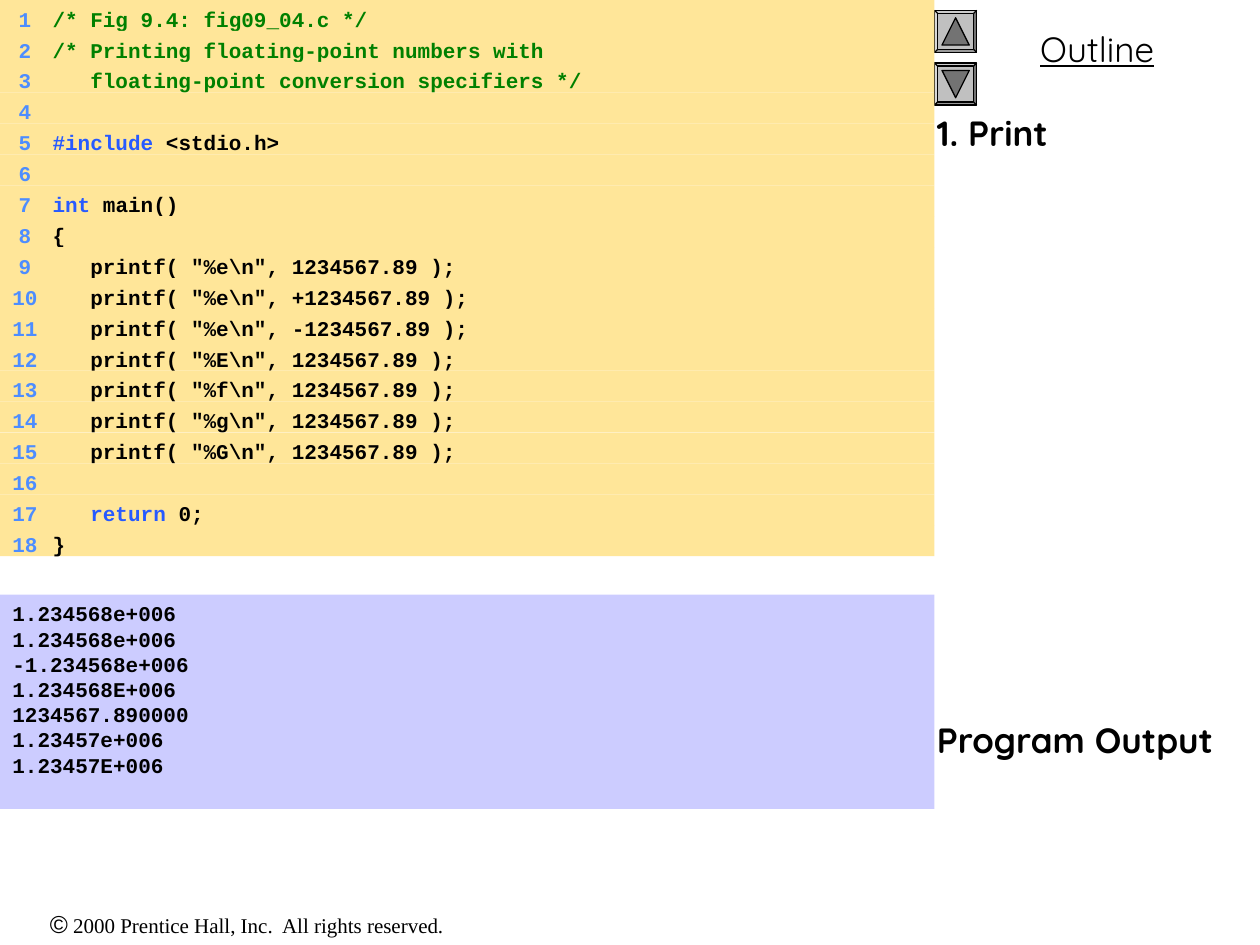
from pptx import Presentation
from pptx.dml.color import RGBColor as RGB
from pptx.enum.shapes import MSO_SHAPE as Kind
from pptx.enum.text import MSO_ANCHOR as Anchor, MSO_AUTO_SIZE as Fit, PP_ALIGN as Align
from pptx.oxml.ns import qn
from pptx.util import Cm, Pt
from lxml.etree import SubElement

BLACK = RGB(0, 0, 0)
SAND = RGB(0xFF, 0xE6, 0x99)
LILAC = RGB(0xCC, 0xCC, 0xFF)
GREY = RGB(0xC0, 0xC0, 0xC0)
DARK = RGB(0x73, 0x73, 0x73)
NUMBER = RGB(0x4D, 0x8D, 0xFF)
GREEN = RGB(0, 0x80, 0)
BLUE = RGB(0x27, 0x5A, 0xFF)

SPLIT = Cm(18.84)
CODE = [
    [("/* Fig 9.4: fig09_04.c */", GREEN)],
    [("/* Printing floating-point numbers with", GREEN)],
    [("   floating-point conversion specifiers */", GREEN)],
    [],
    [("#include", BLUE), (" <stdio.h>", BLACK)],
    [],
    [("int", BLUE), (" main()", BLACK)],
    [("{", BLACK)],
    [('   printf( "%e\\n", 1234567.89 );', BLACK)],
    [('   printf( "%e\\n", +1234567.89 );', BLACK)],
    [('   printf( "%e\\n", -1234567.89 );', BLACK)],
    [('   printf( "%E\\n", 1234567.89 );', BLACK)],
    [('   printf( "%f\\n", 1234567.89 );', BLACK)],
    [('   printf( "%g\\n", 1234567.89 );', BLACK)],
    [('   printf( "%G\\n", 1234567.89 );', BLACK)],
    [],
    [("   return", BLUE), (" 0;", BLACK)],
    [("}", BLACK)],
]
OUTPUT = """1.234568e+006
1.234568e+006
-1.234568e+006
1.234568E+006
1234567.890000
1.23457e+006
1.23457E+006"""


def style(run, name, size, color=BLACK, bold=False):
    font = run.font
    font.name, font.size, font.bold = name, Pt(size), bold
    font.color.rgb = color


def block(kind, left, top, width, height, fill):
    shape = slide.shapes.add_shape(kind, left, top, width, height)
    shape.shadow.inherit = False
    shape.fill.solid()
    shape.fill.fore_color.rgb = fill
    shape.line.fill.background()
    shape.text_frame.vertical_anchor = Anchor.TOP
    return shape


deck = Presentation()
deck.slide_width, deck.slide_height = Cm(25.4), Cm(19.05)
slide = deck.slides.add_slide(deck.slide_layouts[0])

title, side = slide.placeholders
title.left, title.top, title.width, title.height = SPLIT, Cm(0.42), Cm(6.56), Cm(1.12)
title.text_frame.text = "Outline"
side.left, side.top, side.width, side.height = Cm(18.63), Cm(2.12), Cm(6.77), Cm(16.93)
side.text_frame.text = "1. Print\nProgram Output"
for holder, align in ((title, Align.CENTER), (side, Align.LEFT)):
    frame = holder.text_frame
    frame.auto_size = Fit.NONE
    frame.vertical_anchor = Anchor.TOP
    for para in frame.paragraphs:
        para.alignment = align
        para.space_before = Pt(0)
        style(para.runs[0], "Quicksand", 20, bold=holder is side)
title.text_frame.paragraphs[0].runs[0].font.underline = True
side.text_frame.paragraphs[1].space_before = Pt(323)

for top, turn in ((0.21, 0), (1.27, 180)):
    key = block(Kind.BEVEL, SPLIT, Cm(top), Cm(0.85), Cm(0.85), GREY)
    key.adjustments[0] = 0.07
    mark = block(Kind.ISOSCELES_TRIANGLE, SPLIT + Cm(0.15), Cm(top + 0.15), Cm(0.55), Cm(0.55), DARK)
    mark.rotation = turn
    for shape in (key, mark):
        shape.line.color.rgb = BLACK
        shape.line.width = Pt(0.75)

step = Cm(11.21) / 18
for row, parts in enumerate(CODE):
    line = block(Kind.RECTANGLE, 0, int(row * step), SPLIT, int(step), SAND)
    para = line.text_frame.paragraphs[0]
    para.alignment = Align.LEFT
    para.line_spacing = Pt(14.4)
    tabs = SubElement(para._p.get_or_add_pPr(), qn("a:tabLst"))
    for stop, side_of in ((0.38, "r"), (0.81, "l")):
        SubElement(tabs, qn("a:tab"), pos=str(Cm(stop)), algn=side_of)
    for text, color in [(f"\t{row + 1}\t", NUMBER)] + parts:
        run = para.add_run()
        run.text = text
        style(run, "Courier New", 12, color, True)

panel = block(Kind.RECTANGLE, 0, Cm(11.99), SPLIT, Cm(4.32), LILAC)
panel.text_frame.text = OUTPUT
for para in panel.text_frame.paragraphs:
    para.alignment = Align.LEFT
    para.line_spacing = Pt(14.4)
    style(para.runs[0], "Courier New", 12, bold=True)

foot = slide.shapes.add_textbox(0, Cm(18.21), Cm(9.96), Cm(0.86))
foot.text_frame.word_wrap = True
para = foot.text_frame.paragraphs[0]
para.alignment = Align.CENTER
for text, name, size in (
    ("©", "Arial", 14),
    (" 2000 Prentice Hall, Inc.  All rights reserved.", "Times New Roman", 12),
):
    run = para.add_run()
    run.text = text
    style(run, name, size)

deck.save("out.pptx")
